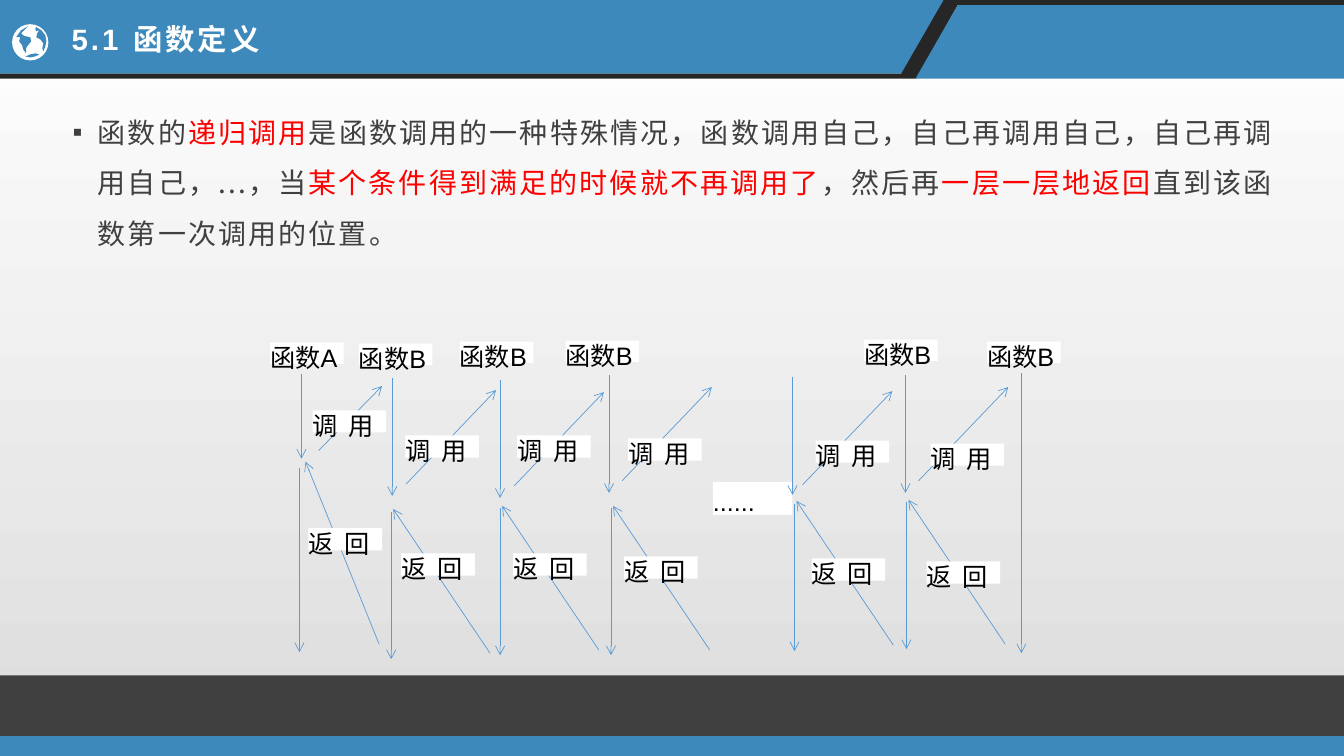
from lxml.etree import SubElement
from pptx import Presentation
from pptx.dml.color import RGBColor
from pptx.enum.shapes import MSO_CONNECTOR, MSO_SHAPE
from pptx.enum.text import MSO_ANCHOR, MSO_AUTO_SIZE, PP_ALIGN
from pptx.oxml.ns import qn
from pptx.util import Inches, Pt

BLUE, BLACK, DARK, GREY = "3D89BC", "000000", "262626", "404040"
WHITE, RED, ARROW_BLUE = "FFFFFF", "FF0000", "5B9BD5"


def color(hex_code):
    return RGBColor.from_string(hex_code)


class SlideBuilder:
    latin_font = "Arial"
    chinese_font = "Noto Sans CJK SC"

    def __init__(self, slide):
        self.slide = slide
        self.shapes = slide.shapes

    def background(self, top, bottom):
        fill = self.slide.background.fill
        fill.gradient()
        fill.gradient_angle = 270
        for stop, hex_code, position in zip(fill.gradient_stops, (top, bottom), (0, 1)):
            stop.color.rgb = color(hex_code)
            stop.position = position

    def paint(self, shape, fill):
        shape.shadow.inherit = False
        shape.fill.solid()
        shape.fill.fore_color.rgb = color(fill)
        shape.line.fill.background()
        return shape

    def polygon(self, points, fill):
        corners = [(Inches(x), Inches(y)) for x, y in points]
        builder = self.shapes.build_freeform(*corners[0], scale=1.0)
        builder.add_line_segments(corners[1:], close=True)
        self.paint(builder.convert_to_shape(), fill)

    def preset(self, kind, left, top, width, height, fill):
        box = [Inches(length) for length in (left, top, width, height)]
        return self.paint(self.shapes.add_shape(kind, *box), fill)

    def arrow(self, start, change):
        (x, y), (dx, dy) = start, change
        ends = [Inches(length) for length in (x, y, x + dx, y + dy)]
        line = self.shapes.add_connector(MSO_CONNECTOR.STRAIGHT, *ends)
        line.line.color.rgb = color(ARROW_BLUE)
        line.line.width = Pt(0.5)
        properties = line._element.spPr
        SubElement(properties.find(qn("a:ln")), qn("a:tailEnd"), type="arrow")
        SubElement(properties, qn("a:effectLst"))

    def frame(self, shape, margins):
        frame = shape.text_frame
        frame.word_wrap = True
        frame.auto_size = MSO_AUTO_SIZE.NONE
        frame.vertical_anchor = MSO_ANCHOR.TOP
        frame.margin_left, frame.margin_top, frame.margin_right, frame.margin_bottom = map(Inches, margins)
        frame.paragraphs[0].alignment = PP_ALIGN.LEFT
        return frame

    def add_run(self, paragraph, text, font, spacing=0, hex_code=None):
        run = paragraph.add_run()
        run.text = text
        if hex_code:
            run.font.color.rgb = color(hex_code)
        run.font.name = font
        properties = run._r.get_or_add_rPr()
        SubElement(properties, qn("a:ea"), typeface=font)
        if spacing:
            properties.set("spc", str(round(spacing * 100)))

    def set_font(self, paragraph, size, hex_code, bold=False):
        paragraph.font.size = Pt(size)
        paragraph.font.bold = bold
        paragraph.font.color.rgb = color(hex_code)

    def title(self, text, left, top, width, height):
        shape = self.shapes.title
        shape.left, shape.top, shape.width, shape.height = map(Inches, (left, top, width, height))
        frame = self.frame(shape, (0.1, 0.05, 0.1, 0.05))
        frame.vertical_anchor = MSO_ANCHOR.MIDDLE
        self.set_font(frame.paragraphs[0], 21, WHITE, bold=True)
        self.add_run(frame.paragraphs[0], text, self.latin_font, 2.2)
        # Bring the title in front of the header band
        shape._element.getparent().append(shape._element)

    def bullet_text(self, pieces, left, top, width, height):
        shape = self.shapes.add_textbox(*map(Inches, (left, top, width, height)))
        paragraph = self.frame(shape, (0.11, 0, 0.09, 0)).paragraphs[0]
        paragraph.line_spacing = 1.5
        properties = paragraph._p.get_or_add_pPr()
        properties.set("marL", str(Inches(0.25)))
        properties.set("indent", str(-Inches(0.25)))
        SubElement(properties, qn("a:buFont"), typeface=self.latin_font)
        SubElement(properties, qn("a:buChar"), char="▪")
        self.set_font(paragraph, 20, GREY)
        for text, hex_code in pieces:
            self.add_run(paragraph, text, self.chinese_font, 1.5, hex_code)

    def label(self, text, position, height, width=0.73, spacing=0, margin=0):
        shape = self.preset(MSO_SHAPE.RECTANGLE, *position, width, height, WHITE)
        paragraph = self.frame(shape, (0, margin, 0, margin)).paragraphs[0]
        self.set_font(paragraph, 18, BLACK)
        self.add_run(paragraph, text, self.latin_font, spacing)


# Globe land areas
GLOBE_LAND = [
    [(0.46, 0.41), (0.45, 0.46), (0.43, 0.51), (0.42, 0.48), (0.43, 0.43), (0.4, 0.39),
     (0.36, 0.37), (0.37, 0.33), (0.39, 0.3), (0.36, 0.31), (0.35, 0.29), (0.36, 0.27),
     (0.41, 0.3), (0.45, 0.35)],
    [(0.28, 0.26), (0.26, 0.28), (0.24, 0.3), (0.21, 0.33), (0.23, 0.35), (0.25, 0.36),
     (0.3, 0.37), (0.31, 0.41), (0.27, 0.46), (0.26, 0.48), (0.26, 0.53), (0.23, 0.49),
     (0.22, 0.45), (0.19, 0.41), (0.2, 0.37), (0.16, 0.37), (0.21, 0.3)],
    [(0.25, 0.56), (0.28, 0.55), (0.3, 0.54), (0.35, 0.53), (0.39, 0.54), (0.35, 0.56), (0.3, 0.57)],
]

# Each call: name, name label, call line, return line, call arrow, return arrow, call label
CALLS = [
    ("函数A", (2.68, 3.4), (2.99, 3.71), (2.97, 4.64), (3.16, 4.47), (3.03, 4.58), (3.1, 4.07)),
    ("函数B", (3.56, 3.41), (3.89, 3.75), (3.88, 5.08), (4.03, 4.8), (3.9, 5.05), (4.02, 4.32)),
    ("函数B", (4.56, 3.39), (4.96, 3.77), (4.96, 5.04), (5.1, 4.82), (4.98, 5.02), (5.13, 4.32)),
    ("函数B", (5.61, 3.38), (6.04, 3.72), (6.06, 5.04), (6.17, 4.77), (6.08, 5.02), (6.23, 4.35)),
    (None, None, (7.86, 3.74), (7.88, 5), (7.96, 4.81), (7.9, 4.97), (8.09, 4.37)),
    ("函数B", (8.57, 3.37), (8.98, 3.72), (8.99, 4.98), (9.11, 4.77), (9.01, 4.96), (9.23, 4.4)),
]
# Lengths of call line, return line, call arrow and return arrow
FIRST_LENGTHS = (0.84, 1.83, (0.63, -0.64), (0.73, 1.81))
OTHER_LENGTHS = (1.17, 1.46, (0.89, -0.93), (0.96, 1.43))

DESCRIPTION = [
    ("函数的", GREY),
    ("递归调用", RED),
    ("是函数调用的一种特殊情况，函数调用自己，自己再调用自己，自己再调用自己，...，当", GREY),
    ("某个条件得到满足的时候就不再调用了", RED),
    ("，然后再", GREY),
    ("一层一层地返回", RED),
    ("直到该函数第一次调用的位置。", GREY),
]


def main():
    presentation = Presentation()
    presentation.slide_width, presentation.slide_height = Inches(13.33), Inches(7.5)
    builder = SlideBuilder(presentation.slides.add_slide(presentation.slide_layouts[5]))
    builder.background(WHITE, "DCDCDC")

    # Header and footer bands
    builder.polygon([(0, 0), (9.4, 0), (8.99, 0.73), (0, 0.73)], BLUE)
    builder.polygon([(9.36, 0), (13.33, 0), (13.33, 0.05), (9.5, 0.05), (9.09, 0.78),
                     (0, 0.78), (0, 0.73), (8.94, 0.73)], DARK)
    builder.polygon([(9.5, 0.05), (13.33, 0.05), (13.33, 0.78), (9.08, 0.78)], BLUE)
    builder.preset(MSO_SHAPE.RECTANGLE, 0, 7.29, 13.33, 0.21, BLUE)
    builder.preset(MSO_SHAPE.RECTANGLE, 0, 6.7, 13.33, 0.6, GREY)

    # Globe icon
    builder.preset(MSO_SHAPE.OVAL, 0.12, 0.24, 0.36, 0.36, WHITE)
    for land in GLOBE_LAND:
        builder.polygon(land, BLUE)

    # Title and description
    builder.title("5.1 函数定义", 0.61, 0.16, 5.9, 0.45)
    builder.bullet_text(DESCRIPTION, 0.61, 0.98, 12.2, 5.53)

    # Call and return arrows, with the gap in the chain behind them
    builder.label("......", (7.07, 4.78), 0.33, width=0.79, margin=0.05)
    for index, (_, _, call_line, return_line, call_start, return_end, _) in enumerate(CALLS):
        call_length, return_length, call_change, (dx, dy) = OTHER_LENGTHS if index else FIRST_LENGTHS
        builder.arrow(call_line, (0, call_length))
        builder.arrow(return_line, (0, return_length))
        builder.arrow(call_start, call_change)
        builder.arrow((return_end[0] + dx, return_end[1] + dy), (-dx, -dy))
    builder.arrow((10.13, 3.7), (0, 2.78))

    # Labels over the arrows
    for name, name_position, *_, (left, top) in CALLS:
        if name:
            builder.label(name, name_position, 0.21)
        builder.label("调 用", (left, top), 0.22, spacing=1.4)
        builder.label("返 回", (left - 0.04, top + 1.17), 0.22, spacing=1.4)
    builder.label("函数B", (9.79, 3.39), 0.21)

    presentation.save("out.pptx")


if __name__ == "__main__":
    main()
